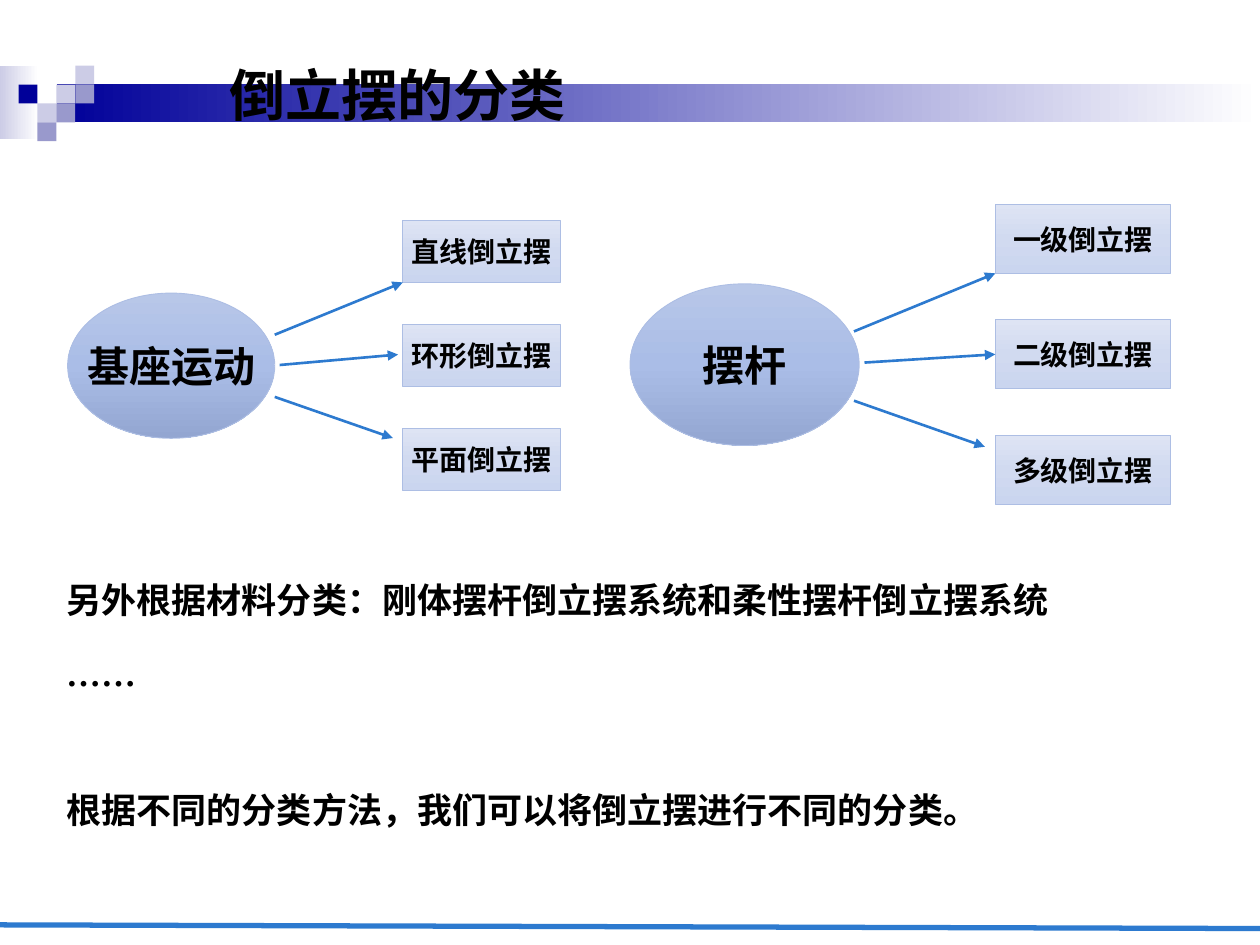
"""Build the slide on the classification of inverted pendulums."""
from copy import deepcopy

from lxml.etree import SubElement
from pptx import Presentation
from pptx.dml.color import RGBColor
from pptx.enum.shapes import MSO_CONNECTOR, MSO_SHAPE
from pptx.enum.text import MSO_ANCHOR, MSO_AUTO_SIZE, PP_ALIGN
from pptx.oxml.ns import qn
from pptx.util import Pt

FONT = "Noto Sans CJK SC"
COLORS = {
    "text": "000000", "white": "FFFFFF", "navy": "000099",
    "violet": "9999CC", "lavender": "CCCCE6",
    "arrow": "2D7ACF", "outline": "ADBEE4",
    "box_top": "DEE4F4", "box_middle": "D1DAF0", "box_bottom": "CAD5EF",
    "oval_top": "B8C7E8", "oval_middle": "AABDE7", "oval_bottom": "93A6D1",
}
BOX_FILL = ["box_top", "box_middle", "box_bottom"]
OVAL_FILL = ["oval_top", "oval_middle", "oval_bottom"]


def add_text(paragraph, text, size):
    run = paragraph.add_run()
    run.text = text
    run.font.size = Pt(size)
    run.font.bold = True
    run.font.name = FONT
    run.font.color.rgb = RGBColor.from_string(COLORS["text"])
    SubElement(run.font._element, qn("a:ea"), typeface=FONT)


def add_filled_shape(kind, bounds, colors, angle=0, text="", size=16):
    shape = slide.shapes.add_shape(kind, *[Pt(value) for value in bounds])
    shape.shadow.inherit = False
    shape.line.fill.background()
    if len(colors) == 1:
        shape.fill.solid()
        shape.fill.fore_color.rgb = RGBColor.from_string(COLORS[colors[0]])
    else:
        shape.fill.gradient()
        shape.fill.gradient_angle = angle
        stop_list = shape._element.spPr.find(".//" + qn("a:gsLst"))
        for _ in colors[2:]:
            stop_list.append(deepcopy(stop_list[0]))
        for index, stop in enumerate(shape.fill.gradient_stops):
            stop.position = index / (len(colors) - 1)
            stop.color.rgb = RGBColor.from_string(COLORS[colors[index]])
    if text:
        shape.line.color.rgb = RGBColor.from_string(COLORS["outline"])
        shape.line.width = Pt(0.5)
        frame = shape.text_frame
        frame.word_wrap = False
        frame.vertical_anchor = MSO_ANCHOR.MIDDLE
        frame.margin_left = frame.margin_right = Pt(2.9)
        frame.paragraphs[0].alignment = PP_ALIGN.CENTER
        add_text(frame.paragraphs[0], text, size)
    return shape


presentation = Presentation()
presentation.slide_width, presentation.slide_height = Pt(720), Pt(540)
slide = presentation.slides.add_slide(presentation.slide_layouts[5])

add_filled_shape(MSO_SHAPE.RECTANGLE, (0, 37.6, 22, 42), ["lavender", "white"])
add_filled_shape(MSO_SHAPE.RECTANGLE, (32.4, 48.2, 687.6, 21.6), ["navy", "white"])
MOSAIC = [
    (3, 1, "lavender"), (4, 0, "lavender"), (4, 1, "violet"), (2, 2, "lavender"),
    (1, 1, "navy"), (3, 2, "violet"), (2, 3, "violet"),
]
TILE = 10.8
# The first tile column aligns with the bar through this shared grid.
for column, row, color in MOSAIC:
    bounds = (column * TILE - 0.2, 37.5 + row * TILE, TILE, TILE)
    add_filled_shape(MSO_SHAPE.RECTANGLE, bounds, [color])

title = slide.shapes.title
title.left, title.top, title.width, title.height = Pt(123.8), Pt(31), Pt(235.4), Pt(46)
title.text_frame.vertical_anchor = MSO_ANCHOR.TOP
title.text_frame.auto_size = MSO_AUTO_SIZE.NONE
title.text_frame.paragraphs[0].alignment = PP_ALIGN.LEFT
add_text(title.text_frame.paragraphs[0], "倒立摆的分类", 32)
title._element.getparent().append(title._element)

DIAGRAMS = [
    {
        "oval": ("基座运动", (38.6, 167.5, 118.4, 83)),
        "boxes": ["直线倒立摆", "环形倒立摆", "平面倒立摆"],
        "first_box": (230.2, 126, 90, 35.4), "pitch": 59.4,
        "arrows": [(157, 191.3, 230.2, 161.4), (159.8, 208.6, 227.5, 202.6),
                   (157, 226.8, 224.5, 250.3)],
    },
    {
        "oval": ("摆杆", (360, 162.2, 131, 92.4)),
        "boxes": ["一级倒立摆", "二级倒立摆", "多级倒立摆"],
        "first_box": (568.8, 116.8, 100, 39.4), "pitch": 66,
        "arrows": [(488, 189.4, 568.8, 156.2), (494, 207.2, 568.8, 201),
                   (488, 229, 562.8, 255.3)],
    },
]
lines = [(0, 528.5, 720, 530.6, 3, None)]
for diagram in DIAGRAMS:
    name, bounds = diagram["oval"]
    add_filled_shape(MSO_SHAPE.OVAL, bounds, OVAL_FILL, 270, name, 24)
    left, top, width, height = diagram["first_box"]
    for index, (name, arrow) in enumerate(zip(diagram["boxes"], diagram["arrows"])):
        box_top = top + index * diagram["pitch"]
        box = add_filled_shape(
            MSO_SHAPE.RECTANGLE, (left, box_top, width, height), BOX_FILL, 270, name)
        touches = arrow[2] == left and abs(arrow[3] - box_top - height / 2) < 2
        lines.append((*arrow, 1.5, box if touches else None))

for start_x, start_y, end_x, end_y, weight, target in lines:
    connector = slide.shapes.add_connector(
        MSO_CONNECTOR.STRAIGHT, Pt(start_x), Pt(start_y), Pt(end_x), Pt(end_y))
    connector.line.color.rgb = RGBColor.from_string(COLORS["arrow"])
    connector.line.width = Pt(weight)
    if weight < 3:
        SubElement(connector.line._get_or_add_ln(), qn("a:tailEnd"), type="triangle")
    SubElement(connector._element.spPr, qn("a:effectLst"))
    if target:
        connector.end_connect(target, 1)

notes_box = slide.shapes.add_textbox(Pt(31), Pt(326.9), Pt(578), Pt(172))
notes_frame = notes_box.text_frame
notes_frame.word_wrap = True
REMARKS = [
    ("另外根据材料分类：刚体摆杆倒立摆系统和柔性摆杆倒立摆系统", 0),
    ("……", 24),
    ("根据不同的分类方法，我们可以将倒立摆进行不同的分类。", 48),
]
for index, (text, gap) in enumerate(REMARKS):
    paragraph = notes_frame.add_paragraph() if index else notes_frame.paragraphs[0]
    paragraph.space_before = Pt(gap)
    add_text(paragraph, text, 20)

presentation.save("out.pptx")
